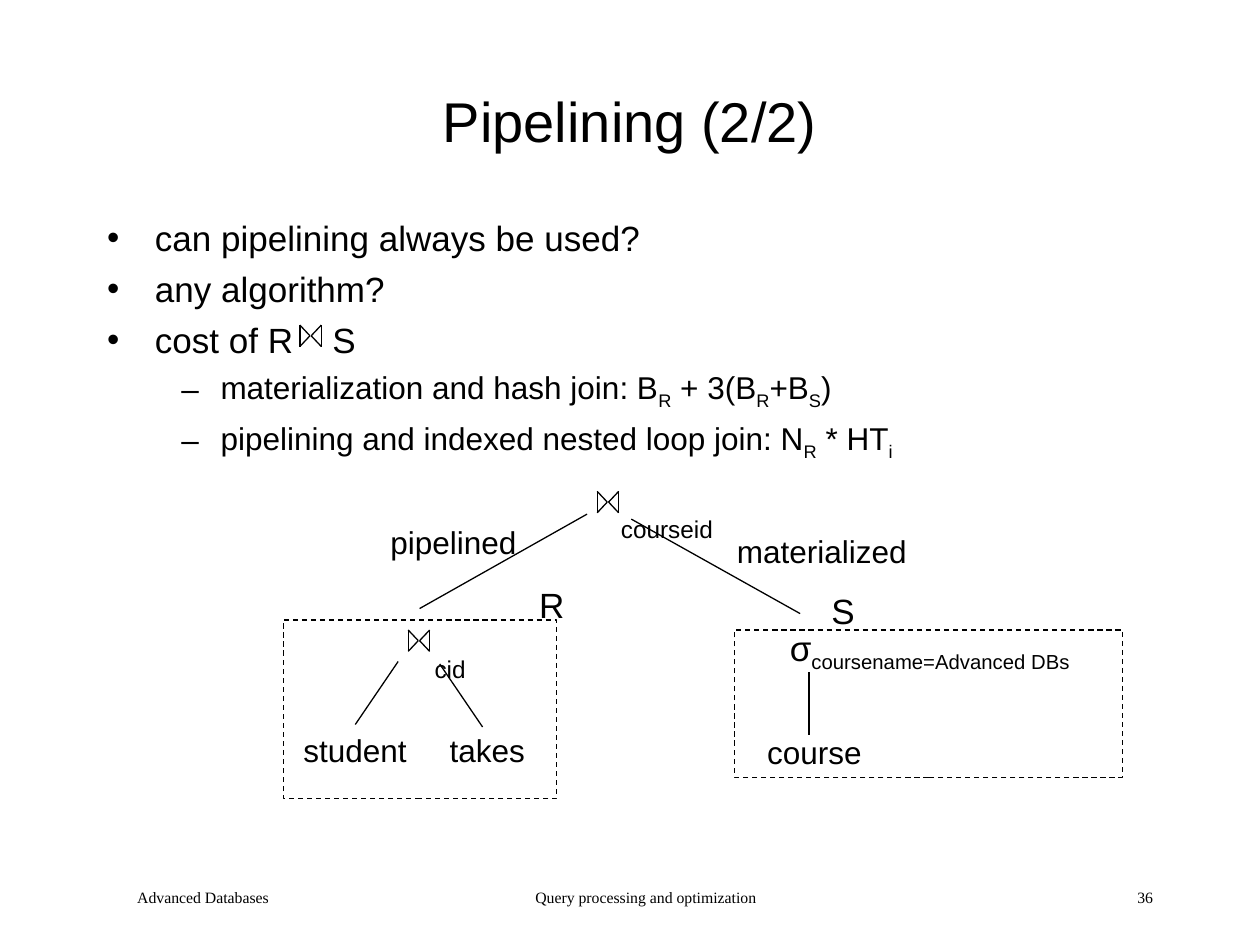
import dataclasses
import pptx
import pptx.util
import pptx.dml.color
import pptx.enum.dml
import pptx.enum.shapes
import pptx.enum.text
import pptx.oxml.ns
from lxml import etree

Inches = pptx.util.Inches
Pt = pptx.util.Pt
Align = pptx.enum.text.PP_ALIGN
Fit = pptx.enum.text.MSO_AUTO_SIZE
STRAIGHT = pptx.enum.shapes.MSO_CONNECTOR.STRAIGHT


@dataclasses.dataclass
class Theme:
    ink: pptx.dml.color.RGBColor = pptx.dml.color.RGBColor(0, 0, 0)
    sans: str = "Arial"
    serif: str = "Times New Roman"
    head: int = 32
    big: int = 24
    main: int = 20
    small: int = 18
    foot: int = 9
    line: float = 0.75


class Deck:
    def __init__(self, theme):
        self.theme = theme
        self.file = pptx.Presentation()
        self.file.slide_width, self.file.slide_height = Inches(10), Inches(7.5)
        self.slide = self.file.slides.add_slide(self.file.slide_layouts[1])

    def place(self, shape, left, top, width, height):
        shape.left, shape.top = Inches(left), Inches(top)
        shape.width, shape.height = Inches(width), Inches(height)

    def run(self, para, text, size, font=None, sub=False, gap=0):
        run = para.add_run()
        run.text = text
        run.font.size = Pt(size)
        run.font.name = font or self.theme.sans
        run.font.color.rgb = self.theme.ink
        props = run._r.get_or_add_rPr()
        if sub:
            props.set("baseline", "-25000")
        if gap:
            props.set("spc", str(gap))

    def title(self, text, *box):
        shape = self.slide.shapes.title
        self.place(shape, *box)
        frame = shape.text_frame
        frame.auto_size = Fit.NONE
        frame.vertical_anchor = pptx.enum.text.MSO_ANCHOR.MIDDLE
        para = frame.paragraphs[0]
        para.alignment = Align.CENTER
        self.run(para, text, self.theme.head)

    def body(self, items, *box):
        shape = self.slide.placeholders[1]
        self.place(shape, *box)
        frame = shape.text_frame
        frame.auto_size = Fit.NONE
        looks = [(0.38, -0.38, 5, self.theme.main), (0.9, -0.31, 4.5, self.theme.small)]
        for i, (level, parts) in enumerate(items):
            para = frame.add_paragraph() if i else frame.paragraphs[0]
            left, hang, space, size = looks[level]
            para.level = level
            para.space_before = Pt(space if i else 0)
            props = para._p.get_or_add_pPr()
            props.set("marL", str(Inches(left)))
            props.set("indent", str(Inches(hang)))
            for text, style in parts:
                self.run(para, text, size, **style)

    def text(self, parts, left, top, width, height, size, wrap=False):
        shape = self.slide.shapes.add_textbox(
            Inches(left), Inches(top), Inches(width), Inches(height))
        frame = shape.text_frame
        frame.word_wrap = wrap
        frame.auto_size = Fit.SHAPE_TO_FIT_TEXT
        for text, style in parts:
            self.run(frame.paragraphs[0], text, size, **style)
        return shape

    def foot(self, text, left, width, align):
        shape = self.slide.shapes.add_textbox(
            Inches(left), Inches(7), Inches(width), Inches(0.33))
        shape.text_frame.word_wrap = True
        para = shape.text_frame.paragraphs[0]
        para.alignment = align
        para._p.get_or_add_pPr().set("marL", str(Inches(0.24)))
        self.run(para, text, self.theme.foot, self.theme.serif)

    def line(self, x1, y1, x2, y2, home=None):
        home = home or self.slide.shapes
        line = home.add_connector(
            STRAIGHT, Inches(x1), Inches(y1), Inches(x2), Inches(y2))
        line.line.color.rgb = self.theme.ink
        line.line.width = Pt(self.theme.line)
        etree.SubElement(line._element.spPr, pptx.oxml.ns.qn("a:effectLst"))
        return line

    def join(self, left, top, size=0.17):
        group = self.slide.shapes.add_group_shape().shapes
        mid, low = top + size / 2, top + size
        for side, tip in ((left, left + 0.08), (left + size, left + 0.09)):
            self.line(side, top, side, low, group)
            self.line(side, top, tip, mid, group)
            self.line(side, low, tip, mid, group)

    def frame(self, left, top, width, height):
        shape = self.slide.shapes.add_shape(
            pptx.enum.shapes.MSO_SHAPE.RECTANGLE,
            Inches(left), Inches(top), Inches(width), Inches(height))
        shape.shadow.inherit = False
        shape.fill.background()
        shape.line.color.rgb = self.theme.ink
        shape.line.width = Pt(self.theme.line)
        shape.line.dash_style = pptx.enum.dml.MSO_LINE.DASH


def main():
    theme = Theme()
    deck = Deck(theme)
    flat, sub = {}, {"sub": True}

    deck.title("Pipelining (2/2)", 0.75, 0.33, 8.5, 1.25)
    deck.body([
        (0, [("can pipelining always be used?", flat)]),
        (0, [("any algorithm?", flat)]),
        (0, [("cost of R", flat), (" ", {"gap": 1670}), ("S", flat)]),
        (1, [("materialization and hash join: B", flat), ("R", sub), (" + 3(B", flat),
             ("R", sub), ("+B", flat), ("S", sub), (")", flat)]),
        (1, [("pipelining and indexed nested loop join: N", flat), ("R", sub),
             (" * HT", flat), ("i", sub)]),
    ], 0.75, 1.67, 8.5, 5.17)

    for spot in ((2.38, 2.58), (4.74, 3.9), (3.24, 5)):
        deck.join(*spot)

    deck.text([("σ", flat), ("coursename=Advanced DBs", sub)],
              6.17, 4.92, 3, 0.48, theme.main, True)
    deck.text([("courseid", sub)], 4.83, 3.81, 2.36, 0.56, theme.big, True)
    deck.text([("cid", sub)], 3.35, 4.92, 0.55, 0.56, theme.big, True)

    labels = {}
    for name, left, top, width in (
        ("student", 2.31, 5.75, 1.02), ("takes", 3.47, 5.75, 0.8),
        ("course", 5.99, 5.77, 0.95), ("pipelined", 3, 4.1, 1.2),
        ("materialized", 5.75, 4.17, 1.55),
    ):
        labels[name] = deck.text([(name, flat)], left, top, width, 0.4, theme.small)
    deck.text([("R", flat)], 4.18, 4.58, 0.4, 0.44, theme.main)
    deck.text([("S", flat)], 6.5, 4.63, 0.38, 0.44, theme.main)

    deck.line(3.16, 5.25, 2.82, 5.75).end_connect(labels["student"], 0)
    for ends in ((3.49, 5.27, 3.83, 5.77), (3.33, 4.83, 4.66, 4.08),
                 (6.35, 4.87, 5.01, 4.12), (6.42, 5.83, 6.42, 5.33)):
        deck.line(*ends)

    deck.frame(2.25, 4.92, 2.17, 1.42)
    deck.frame(5.83, 5, 3.08, 1.17)

    deck.foot("Advanced Databases", 0.75, 2.08, Align.LEFT)
    deck.foot("Query processing and optimization", 3.42, 3.17, Align.CENTER)
    deck.foot("36", 7.17, 2.08, Align.RIGHT)
    deck.file.save("out.pptx")


if __name__ == "__main__":
    main()
